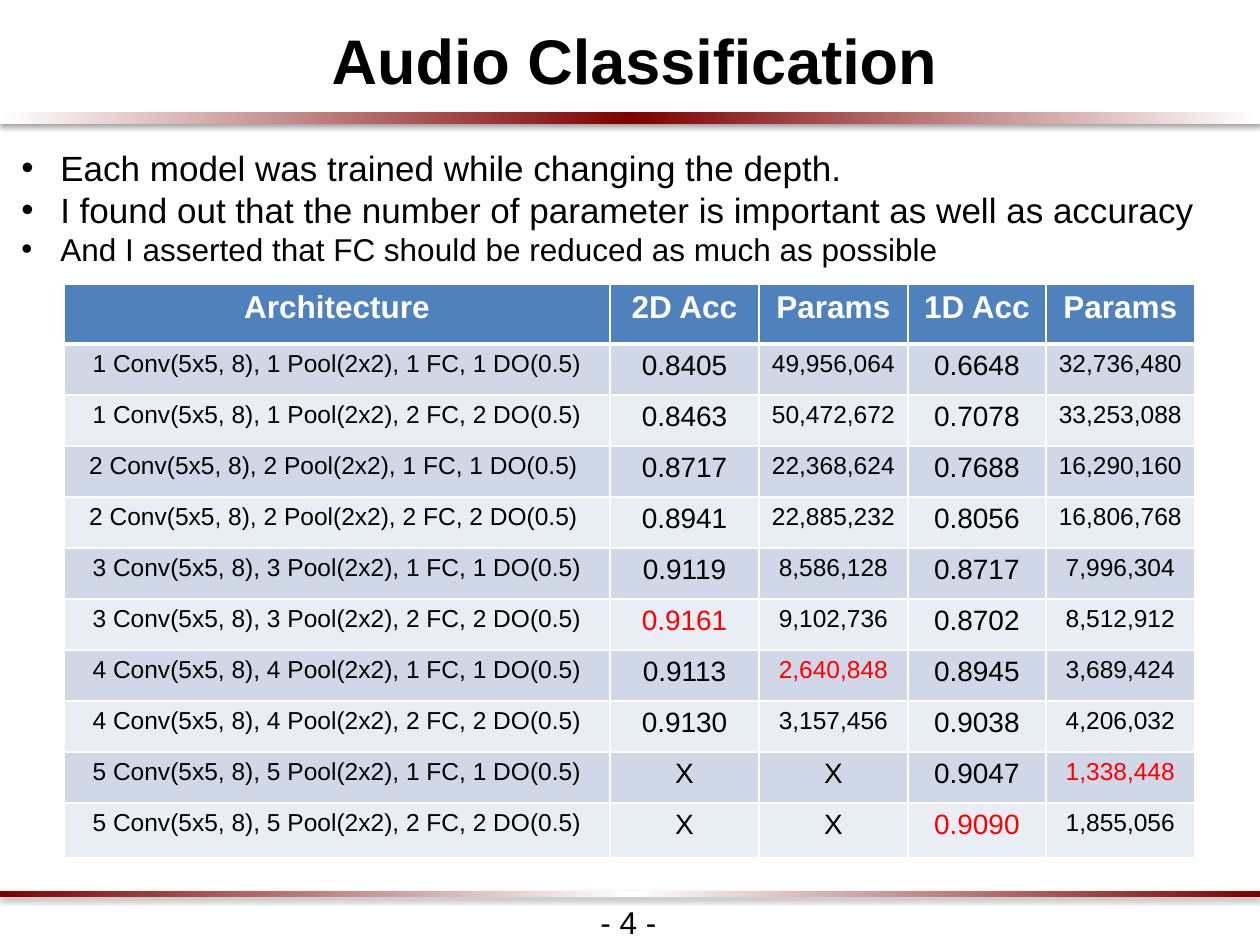
from dataclasses import dataclass

from lxml import etree
from pptx import Presentation
from pptx import util as u
from pptx.dml.color import RGBColor
from pptx.enum import shapes, text
from pptx.oxml import parse_xml
from pptx.oxml.ns import nsdecls, qn

PX_PER_INCH = 126


@dataclass(frozen=True)
class Theme:
    font: str = "Arial"
    ink: str = "000000"
    white: str = "FFFFFF"
    maroon: str = "800000"
    best: str = "FF0000"
    header: str = "4F81BD"
    bands: tuple = ("D0D8E8", "E9EDF4")
    title: int = 36
    bullet: int = 20
    body: int = 18
    value: int = 16
    small: int = 14


THEME = Theme()

BULLETS = [
    ("Each model was trained while changing the depth.", THEME.bullet),
    ("I found out that the number of parameter is important as well as accuracy", THEME.bullet),
    ("And I asserted that FC should be reduced as much as possible", THEME.body),
]

HEADERS = ["Architecture", "2D Acc", "Params", "1D Acc", "Params"]
RESULTS = [
    ("1 Conv(5x5, 8), 1 Pool(2x2), 1 FC, 1 DO(0.5)", "0.8405", "49,956,064", "0.6648", "32,736,480"),
    ("1 Conv(5x5, 8), 1 Pool(2x2), 2 FC, 2 DO(0.5)", "0.8463", "50,472,672", "0.7078", "33,253,088"),
    ("2 Conv(5x5, 8), 2 Pool(2x2), 1 FC, 1 DO(0.5) ", "0.8717", "22,368,624", "0.7688", "16,290,160"),
    ("2 Conv(5x5, 8), 2 Pool(2x2), 2 FC, 2 DO(0.5) ", "0.8941", "22,885,232", "0.8056", "16,806,768"),
    ("3 Conv(5x5, 8), 3 Pool(2x2), 1 FC, 1 DO(0.5)", "0.9119", "8,586,128", "0.8717", "7,996,304"),
    ("3 Conv(5x5, 8), 3 Pool(2x2), 2 FC, 2 DO(0.5)", "0.9161", "9,102,736", "0.8702", "8,512,912"),
    ("4 Conv(5x5, 8), 4 Pool(2x2), 1 FC, 1 DO(0.5)", "0.9113", "2,640,848", "0.8945", "3,689,424"),
    ("4 Conv(5x5, 8), 4 Pool(2x2), 2 FC, 2 DO(0.5)", "0.9130", "3,157,456", "0.9038", "4,206,032"),
    ("5 Conv(5x5, 8), 5 Pool(2x2), 1 FC, 1 DO(0.5)", "X", "X", "0.9047", "1,338,448"),
    ("5 Conv(5x5, 8), 5 Pool(2x2), 2 FC, 2 DO(0.5)", "X", "X", "0.9090", "1,855,056"),
]
COLUMN_WIDTHS = [546, 149, 149, 138, 149]
ROW_HEIGHTS = [60] + [51] * 9 + [55]


def px(length):
    return u.Inches(length / PX_PER_INCH)


def write(paragraph, words, size, color=THEME.ink, bold=False, align=None):
    """Add one formatted run to a paragraph."""
    paragraph.alignment = align
    run = paragraph.add_run()
    run.text = words
    run.font.name = THEME.font
    run.font.size = u.Pt(size)
    run.font.bold = bold
    run.font.color.rgb = RGBColor.from_string(color)


def add_title(slide, words):
    title = slide.shapes.title
    title.left, title.top, title.width, title.height = px(-29), px(4), px(1317), px(100)
    frame = title.text_frame
    frame.word_wrap = True
    frame.auto_size = text.MSO_AUTO_SIZE.NONE
    frame.vertical_anchor = text.MSO_ANCHOR.MIDDLE
    frame.margin_top = frame.margin_bottom = u.Inches(0.1)
    frame.margin_left = frame.margin_right = u.Inches(0.1)
    paragraph = frame.paragraphs[0]
    paragraph.line_spacing = 1.15
    paragraph._p.get_or_add_pPr().set("marL", str(px(10)))
    write(paragraph, words, THEME.title, bold=True, align=text.PP_ALIGN.CENTER)


def add_gradient_bar(slide, top, height, edge, middle):
    """Full-width rule that blends from edge to middle and back, with a soft shadow."""
    bar = slide.shapes.add_shape(shapes.MSO_SHAPE.RECTANGLE, 0, px(top), px(1260), px(height))
    bar.line.fill.background()
    bar.shadow.inherit = False
    bar.fill.gradient()
    bar.fill.gradient_angle = 0
    stops = bar._element.spPr.find(qn("a:gradFill")).find(qn("a:gsLst"))
    for stop in list(stops):
        stops.remove(stop)
    for position, color in ((0, edge), (50, middle), (100, edge)):
        stop = etree.SubElement(stops, qn("a:gs"), pos=str(position * 1000))
        etree.SubElement(stop, qn("a:srgbClr"), val=color)
    bar._element.spPr.find(qn("a:effectLst")).append(parse_xml(
        f'<a:outerShdw {nsdecls("a")} blurRad="{u.Pt(3.1)}" dist="{u.Pt(1.8)}" dir="5400000"'
        f' rotWithShape="0"><a:srgbClr val="{THEME.ink}"><a:alpha val="35000"/></a:srgbClr>'
        '</a:outerShdw>'))


def add_bullets(slide, bullets):
    frame = slide.shapes.add_textbox(px(9), px(140), px(1236), px(125)).text_frame
    frame.word_wrap = True
    for index, (words, size) in enumerate(bullets):
        paragraph = frame.add_paragraph() if index else frame.paragraphs[0]
        properties = paragraph._p.get_or_add_pPr()
        properties.set("marL", str(px(39)))
        properties.set("indent", str(px(-39)))
        bullet_color = etree.SubElement(properties, qn("a:buClr"))
        etree.SubElement(bullet_color, qn("a:srgbClr"), val=THEME.ink)
        etree.SubElement(properties, qn("a:buFont"), typeface=THEME.font)
        etree.SubElement(properties, qn("a:buChar"), char="•")
        write(paragraph, words, size)


def style_cell(cell, fill, top=1, bottom=1):
    """White borders (widths in points) and a solid fill."""
    properties = cell._tc.get_or_add_tcPr()
    for side, width in (("L", 1), ("R", 1), ("T", top), ("B", bottom)):
        properties.append(parse_xml(
            f'<a:ln{side} {nsdecls("a")} w="{u.Pt(width)}"><a:solidFill>'
            f'<a:srgbClr val="{THEME.white}"/></a:solidFill></a:ln{side}>'))
    cell.fill.solid()
    cell.fill.fore_color.rgb = RGBColor.from_string(fill)


def best_values(results):
    """Per column: the highest accuracy or the fewest parameters."""
    columns = list(zip(*results))
    best = {}
    for index in range(1, len(columns)):
        values = [value for value in columns[index] if value != "X"]
        pick = max if "Acc" in HEADERS[index] else min
        best[index] = pick(values, key=lambda value: float(value.replace(",", "")))
    return best


def add_results_table(slide):
    table = slide.shapes.add_table(
        len(ROW_HEIGHTS), len(COLUMN_WIDTHS), px(64), px(284),
        px(sum(COLUMN_WIDTHS)), px(sum(ROW_HEIGHTS))).table
    for column, width in zip(table.columns, COLUMN_WIDTHS):
        column.width = px(width)
    for row, height in zip(table.rows, ROW_HEIGHTS):
        row.height = px(height)

    # Header row
    center = text.PP_ALIGN.CENTER
    for index, words in enumerate(HEADERS):
        cell = table.cell(0, index)
        style_cell(cell, THEME.header, bottom=3)
        write(cell.text_frame.paragraphs[0], words, THEME.body, THEME.white, True, center)

    # Banded result rows, best value of each column in red
    best = best_values(RESULTS)
    for row_index, result in enumerate(RESULTS, start=1):
        for index, words in enumerate(result):
            cell = table.cell(row_index, index)
            style_cell(cell, THEME.bands[(row_index - 1) % 2], top=3 if row_index == 1 else 1)
            is_value = words == "X" or "Acc" in HEADERS[index]
            write(cell.text_frame.paragraphs[0], words,
                  THEME.value if is_value else THEME.small,
                  THEME.best if best.get(index) == words else THEME.ink, align=center)


def add_page_number(slide, words):
    frame = slide.shapes.add_textbox(px(588), px(897), px(82), px(50)).text_frame
    frame.word_wrap = False
    frame.auto_size = text.MSO_AUTO_SIZE.SHAPE_TO_FIT_TEXT
    write(frame.paragraphs[0], words, THEME.body)


def main():
    presentation = Presentation()
    presentation.slide_width, presentation.slide_height = px(1260), px(945)
    slide = presentation.slides.add_slide(presentation.slide_layouts[5])

    # Rules under the title and above the page number
    add_gradient_bar(slide, 112, 12, THEME.white, THEME.maroon)
    add_gradient_bar(slide, 891, 6, THEME.maroon, THEME.white)

    # Content
    add_title(slide, "Audio Classification")
    add_bullets(slide, BULLETS)
    add_results_table(slide)
    add_page_number(slide, "- 4 -")
    presentation.save("out.pptx")


if __name__ == "__main__":
    main()
